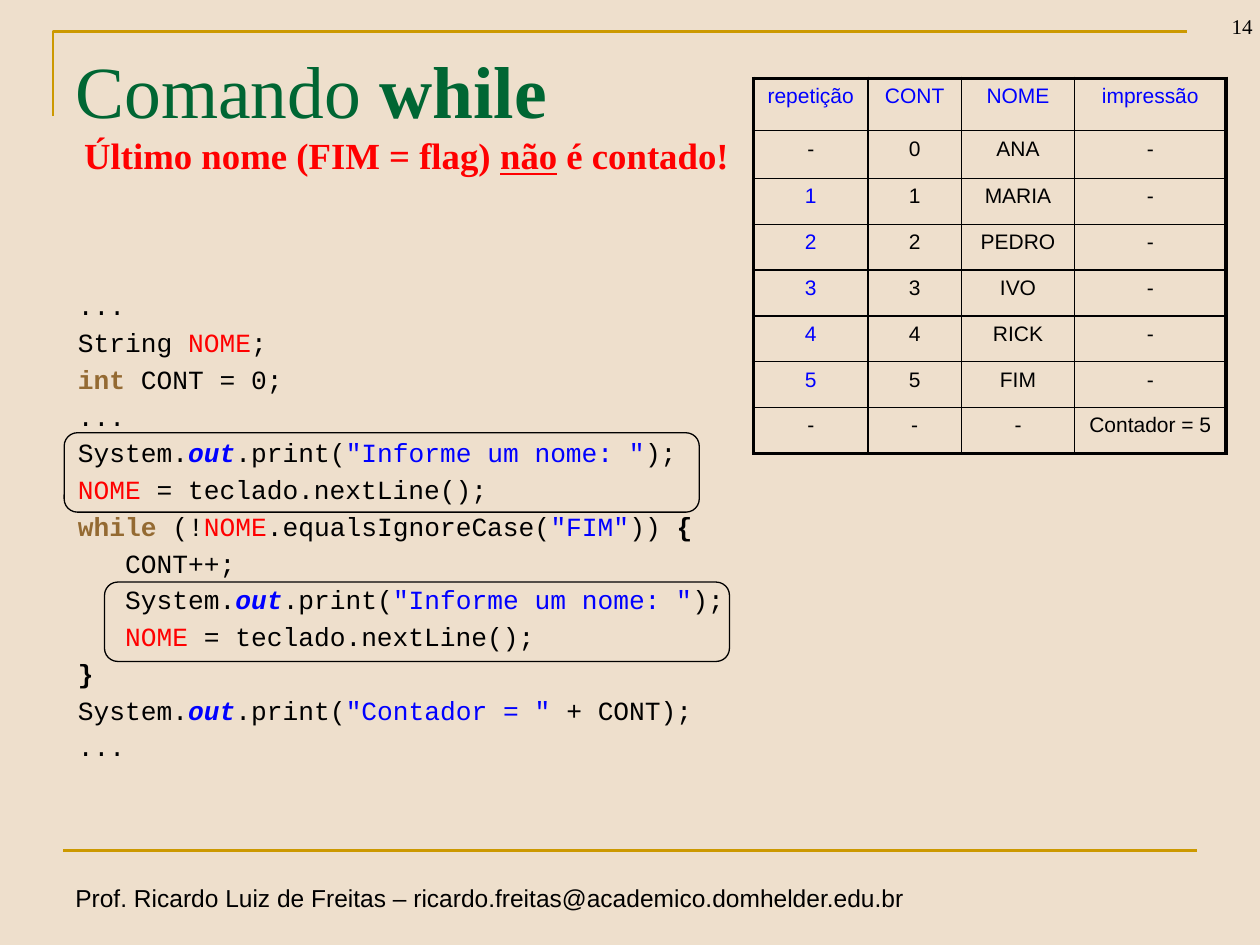
"""Build the slide on the while command: code, trace table and notes."""
from lxml.etree import SubElement as Sub
from pptx import Presentation as Deck
from pptx.dml.color import RGBColor as Rgb
from pptx.enum.shapes import MSO_CONNECTOR as Link, MSO_SHAPE as Form
from pptx.enum.text import MSO_ANCHOR as Anchor, PP_ALIGN as Align
from pptx.oxml.ns import qn
from pptx.util import Inches, Pt

INK = {"back": "EEDFCC", "gold": "CC9900", "green": "006633", "red": "FF0000",
       "blue": "0000FF", "brown": "946A32", "black": "000000"}
LOOK = {
    "": {}, "red": {"ink": "red"}, "blue": {"ink": "blue"}, "bold": {"bold": True},
    "key": {"ink": "brown", "bold": True},
    "out": {"ink": "blue", "bold": True, "italic": True},
    "note": {"ink": "red", "bold": True, "size": Pt(21)},
    "under": {"ink": "red", "bold": True, "size": Pt(21), "underline": True},
}
TITLE = {"name": "Times New Roman", "size": Pt(42), "ink": "green"}
CODE = {"name": "Courier New", "size": Pt(15), "ink": "black"}
CELL = {"name": "Arial", "size": Pt(12), "ink": "black"}
FOOT = {"name": "Arial", "size": Pt(14), "ink": "black"}
PAGE = {"name": "Times New Roman", "size": Pt(12), "ink": "black"}

deck = Deck()
deck.slide_width, deck.slide_height = Inches(10), Inches(7.5)
slide = deck.slides.add_slide(deck.slide_layouts[6])
slide.background.fill.solid()
slide.background.fill.fore_color.rgb = Rgb.from_string(INK["back"])


def at(*pairs):
    """Turn percent shares of the slide, x and y in turn, into lengths."""
    sides = deck.slide_width, deck.slide_height
    return [round(share * sides[i % 2] / 100) for i, share in enumerate(pairs)]


def write(frame, lines, base, **form):
    """Fill a text frame with lines of (text, look) runs."""
    for i, line in enumerate(lines):
        para = frame.paragraphs[0] if i == 0 else frame.add_paragraph()
        for name, value in form.items():
            if i or name != "space_before":
                setattr(para, name, value)
        for text, look in line:
            run = para.add_run()
            run.text = text
            for name, value in {**base, **LOOK[look]}.items():
                if name == "ink":
                    run.font.color.rgb = Rgb.from_string(INK[value])
                else:
                    setattr(run.font, name, value)


pen = slide.shapes.build_freeform(*at(4.2, 12.27))
pen.add_line_segments([at(4.2, 3.33), at(94.2, 3.33)], close=False)
frame = pen.convert_to_shape()
frame.fill.background()
frame.shadow.inherit = False
rule = slide.shapes.add_connector(Link.STRAIGHT, *at(5, 90, 95, 90))
Sub(rule._element.spPr, qn("a:effectLst"))
for edge in (frame, rule):
    edge.line.color.rgb = Rgb.from_string(INK["gold"])
    edge.line.width = Pt(1.5)

ask = [(".print(", ""), ('"Informe um nome: "', "blue"), (");", "")]
read = (" = teclado.nextLine();", "")
code = [
    [("...", "")],
    [("String ", ""), ("NOME", "red"), (";", "")],
    [("int", "key"), (" CONT = 0;", "")],
    [("...", "")],
    [("System.", ""), ("out", "out"), *ask],
    [("NOME", "red"), read],
    [("while", "key"), (" (!", ""), ("NOME", "red"), (".equalsIgnoreCase(", ""),
     ('"FIM"', "blue"), (")) ", ""), ("{", "bold")],
    [("   CONT++;", "")],
    [("   System.", ""), ("out", "out"), *ask],
    [("   NOME", "red"), read],
    [("}", "bold")],
    [("System.", ""), ("out", "out"), (".print(", ""),
     ('"Contador = " ', "blue"), ("+ CONT);", "")],
    [("...", "")],
]
title = [[("Comando ", ""), ("while", "bold")],
         [("Último nome (FIM = flag) ", "note"), ("não", "under"),
          (" é contado!", "note")]]
foot = [[("Prof. Ricardo Luiz de Freitas – ricardo.freitas@academico.domhelder.edu.br", "")]]
boxes = [
    ((5, 92.8, 68.6, 4.53), foot, FOOT, Anchor.TOP, False, {}),
    ((92.9, -1.87, 7.5, 6.67), [[("14", "")]], PAGE, Anchor.BOTTOM, True,
     {"alignment": Align.RIGHT}),
    ((5, 3.4, 90, 16.67), title, TITLE, Anchor.MIDDLE, True, {}),
    ((5, 30, 63.1, 56.67), code, CODE, Anchor.TOP, True, {"space_before": Pt(3)}),
]
for place, lines, base, anchor, wrap, form in boxes:
    box = slide.shapes.add_textbox(*at(*place))
    box.text_frame.word_wrap = wrap
    box.text_frame.vertical_anchor = anchor
    write(box.text_frame, lines, base, **form)
    for i, para in enumerate(box.text_frame.paragraphs):
        props = para._p.get_or_add_pPr()
        if base is CODE:
            props.set("marL", str(Inches(0.4)))
            props.set("indent", str(-Inches(0.38)))
        elif base is TITLE and i:
            props.set("marL", str(Inches(0.07)))

names = ["ANA", "MARIA", "PEDRO", "IVO", "RICK", "FIM"]
rows = [["repetição", "CONT", "NOME", "impressão"]]
rows += [[str(i or "-"), str(i), name, "-"] for i, name in enumerate(names)]
rows += [["-", "-", "-", "Contador = 5"]]
cols = [9.1, 7.4, 9, 12]
table = slide.shapes.add_table(len(rows), len(cols), *at(59.8, 8.3, 37.5, 39.73)).table
table.first_row = table.horz_banding = False
for col, share in zip(table.columns, cols):
    col.width = at(share)[0]
for i, row in enumerate(rows):
    table.rows[i].height = at(0, {0: 5.53, 1: 5.07}.get(i, 4.85))[1]
    for j, text in enumerate(row):
        cell = table.cell(i, j)
        look = "blue" if i == 0 or j == 0 and text != "-" else ""
        write(cell.text_frame, [[(text, look)]], CELL, alignment=Align.CENTER)
        outer = {"L": j == 0, "R": j == len(cols) - 1,
                 "T": i == 0, "B": i == len(rows) - 1}
        for side, thick in outer.items():
            line = Sub(cell._tc.get_or_add_tcPr(), qn("a:ln" + side),
                       w=str(Pt(2.25 if thick else 1)))
            Sub(Sub(line, qn("a:solidFill")), qn("a:srgbClr"), val=INK["black"])
        cell.fill.background()

for place in ((5.1, 45.8, 50.4, 8.4), (8.3, 61.6, 49.6, 8.4)):
    ring = slide.shapes.add_shape(Form.FLOWCHART_ALTERNATE_PROCESS, *at(*place))
    ring.shadow.inherit = False
    ring.fill.background()
    ring.line.color.rgb = Rgb.from_string(INK["black"])
    ring.line.width = Pt(0.75)

deck.save("out.pptx")
